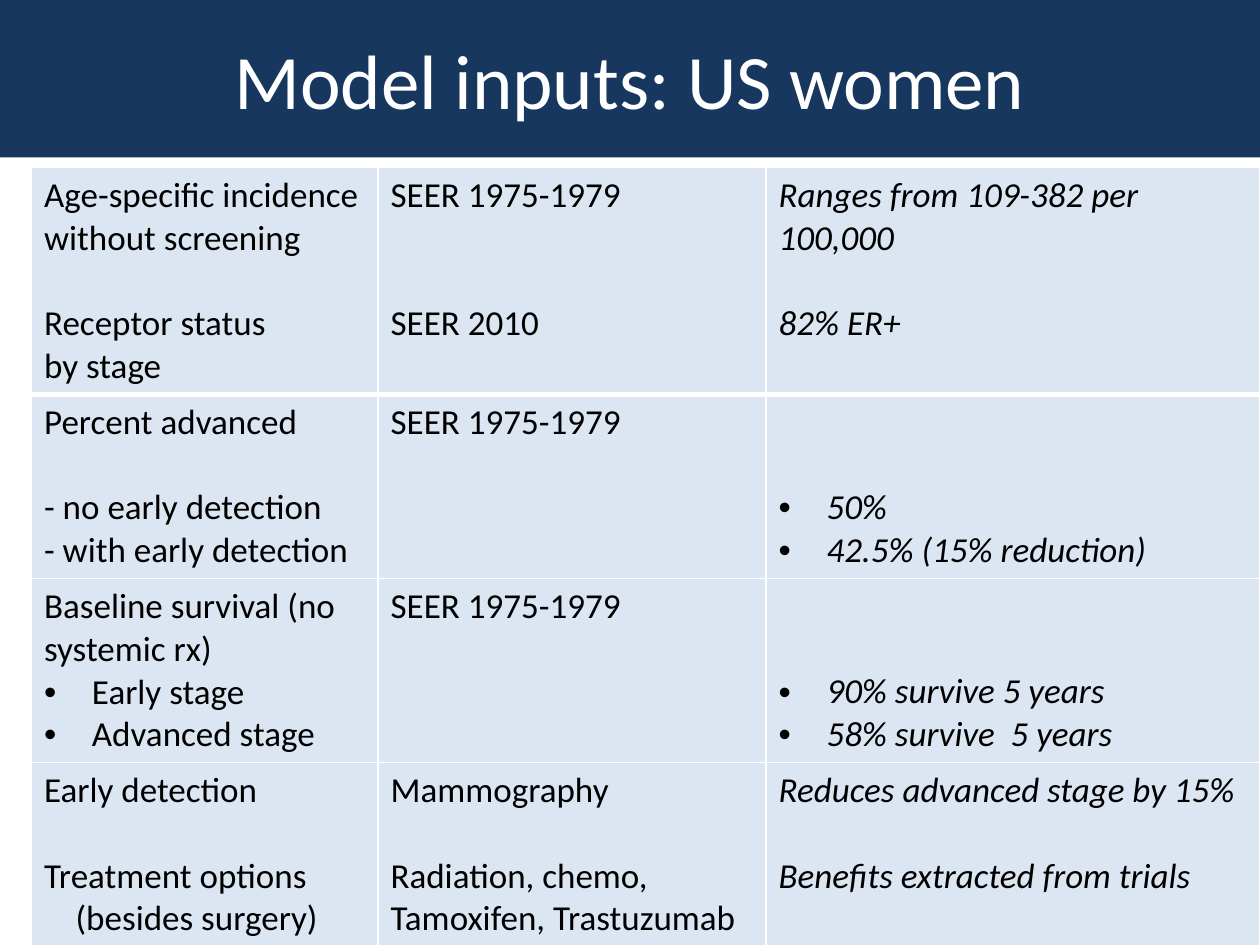
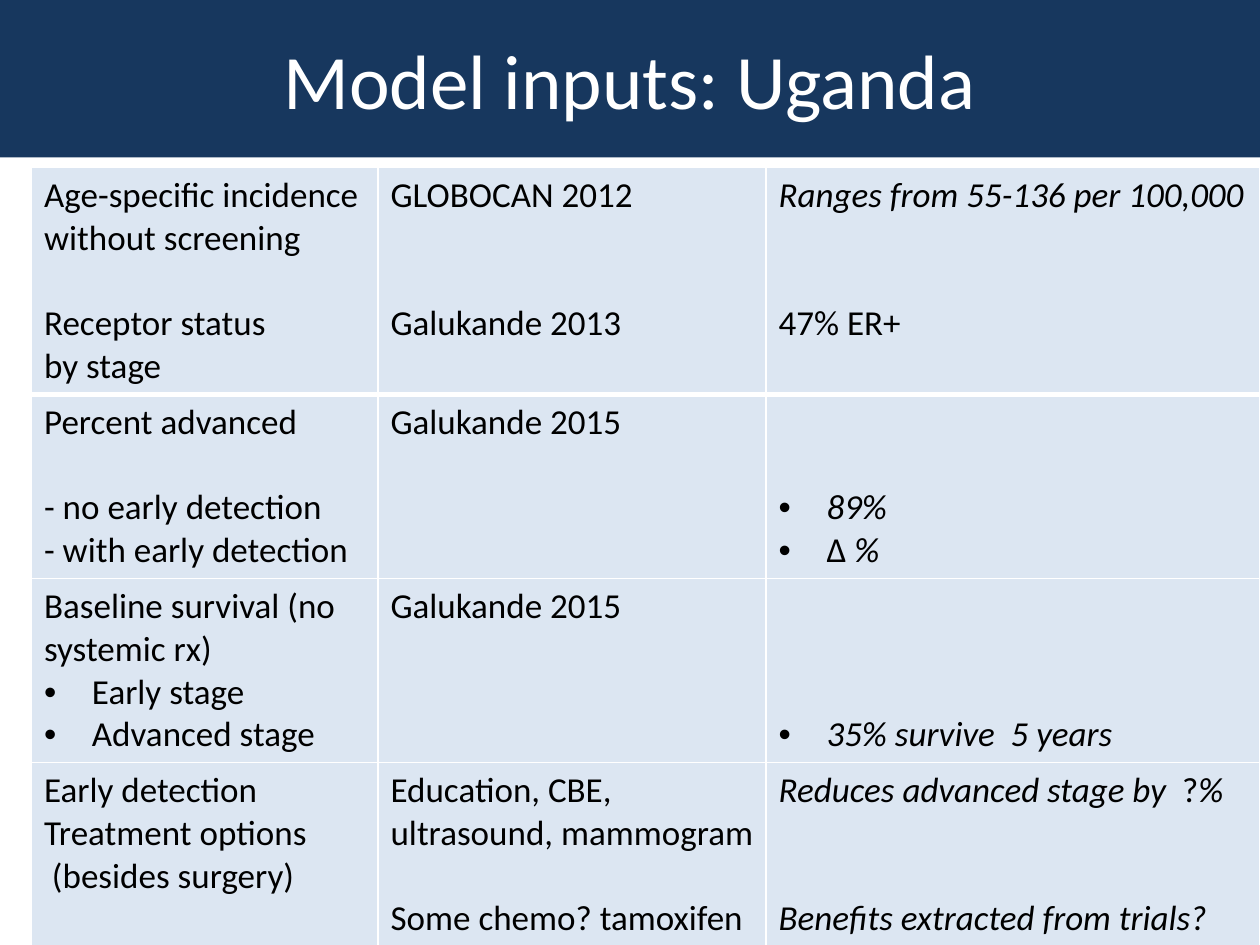
from dataclasses import dataclass

from lxml.etree import SubElement
from pptx import Presentation
from pptx.dml.color import RGBColor
from pptx.enum.shapes import MSO_SHAPE
from pptx.enum.text import MSO_ANCHOR, PP_ALIGN
from pptx.oxml.ns import qn
from pptx.slide import Slide
from pptx.table import _Cell
from pptx.text.text import _Paragraph
from pptx.util import Inches, Pt


@dataclass(frozen=True)
class Theme:
    font: str = "Calibri"
    title_size: int = 44
    body_size: int = 20
    band: str = "17375E"
    cell: str = "DCE6F2"
    white: str = "FFFFFF"
    black: str = "000000"
    thin_border: int = 1
    thick_border: int = 3


@dataclass(frozen=True)
class Span:
    text: str
    italic: bool = False


@dataclass(frozen=True)
class Line:
    """One paragraph; gap counts the text lines left free above it."""
    content: str | tuple[Span, ...]
    gap: int = 0
    bullet: bool = False
    italic: bool = False
    indent: float = 0


@dataclass(frozen=True)
class InputPage:
    title: str
    rows: tuple[tuple[tuple[Line, ...], ...], ...]


THEME = Theme()
SLIDE_WIDTH, SLIDE_HEIGHT = Inches(10), Inches(7.5)
BAND_HEIGHT = Inches(1.25)
TABLE_LEFT, TABLE_TOP = Inches(0.25), Inches(1.33)
COLUMN_WIDTHS = (Inches(2.75), Inches(3.08), Inches(3.92))
ROW_HEIGHTS = (Inches(1.8),) + (Inches(1.46),) * 3
LINE_HEIGHT = Inches(0.34)
CELL_MARGIN = Inches(0.05)
BULLET_INDENT = Inches(0.38)

# Row labels found on both pages
INCIDENCE = (Line("Age-specific incidence without screening"),
             Line("Receptor status", gap=1), Line("by stage"))
ADVANCED = (Line("Percent advanced"), Line("- no early detection", gap=1),
            Line("- with early detection"))
SURVIVAL = (Line("Baseline survival (no systemic rx)"),
            Line("Early stage", bullet=True), Line("Advanced stage", bullet=True))

PAGES = (
    InputPage("Model inputs: US women", (
        (INCIDENCE,
         (Line("SEER 1975-1979"), Line("SEER 2010", gap=2)),
         (Line("Ranges from 109-382 per 100,000", italic=True),
          Line("82% ER+", gap=1, italic=True))),
        (ADVANCED,
         (Line("SEER 1975-1979"),),
         (Line("50%", gap=2, bullet=True, italic=True),
          Line("42.5% (15% reduction)", bullet=True, italic=True))),
        (SURVIVAL,
         (Line("SEER 1975-1979"),),
         (Line("90% survive 5 years", gap=2, bullet=True, italic=True),
          Line("58% survive  5 years", bullet=True, italic=True))),
        ((Line("Early detection"), Line("Treatment options", gap=1),
          Line("(besides surgery)", indent=0.25)),
         (Line("Mammography"),
          Line("Radiation, chemo, Tamoxifen, Trastuzumab", gap=1)),
         (Line("Reduces advanced stage by 15%", italic=True),
          Line("Benefits extracted from trials", gap=1, italic=True))),
    )),
    InputPage("Model inputs: Uganda", (
        (INCIDENCE,
         (Line("GLOBOCAN 2012"), Line("Galukande 2013", gap=2)),
         (Line("Ranges from 55-136 per 100,000", italic=True),
          Line("47% ER+", gap=2))),
        (ADVANCED,
         (Line("Galukande 2015"),),
         (Line("89%", gap=2, bullet=True, italic=True),
          Line((Span("∆ "), Span("%", italic=True)), bullet=True))),
        (SURVIVAL,
         (Line("Galukande 2015"),),
         (Line("35% survive  5 years", gap=3, bullet=True, italic=True),)),
        ((Line("Early detection Treatment options"), Line(" (besides surgery)")),
         (Line("Education, CBE, ultrasound, mammogram"),
          Line("Some chemo? tamoxifen", gap=1)),
         (Line((Span("Reduces advanced stage by ", italic=True), Span(" ?"),
                Span("%", italic=True))),
          Line("Benefits extracted from trials?", gap=2, italic=True))),
    )),
)


def style_paragraph(para: _Paragraph, size: int, color: str) -> None:
    para.font.name = THEME.font
    para.font.size = Pt(size)
    para.font.color.rgb = RGBColor.from_string(color)


def add_title_band(page: Slide, title: str) -> None:
    band = page.shapes.add_shape(MSO_SHAPE.RECTANGLE, 0, 0, SLIDE_WIDTH, BAND_HEIGHT)
    band.shadow.inherit = False
    band.fill.solid()
    band.fill.fore_color.rgb = RGBColor.from_string(THEME.band)
    band.line.fill.background()
    band.text_frame.vertical_anchor = MSO_ANCHOR.MIDDLE
    para = band.text_frame.paragraphs[0]
    para.text = title
    para.alignment = PP_ALIGN.CENTER
    style_paragraph(para, THEME.title_size, THEME.white)


def set_indent(para: _Paragraph, left: int, bullet: bool) -> None:
    properties = para._p.get_or_add_pPr()
    properties.set("marL", str(left))
    properties.set("indent", str(-left if bullet else 0))
    if bullet:
        SubElement(properties, qn("a:buFont")).set("typeface", "Arial")
        SubElement(properties, qn("a:buChar")).set("char", "•")


def write_line(para: _Paragraph, line: Line) -> None:
    if line.bullet or line.indent:
        set_indent(para, BULLET_INDENT if line.bullet else Inches(line.indent), line.bullet)
    style_paragraph(para, THEME.body_size, THEME.black)
    if isinstance(line.content, str):
        para.text = line.content
        para.font.italic = line.italic
    else:
        for span in line.content:
            run = para.add_run()
            run.text = span.text
            run.font.italic = span.italic


def set_borders(cell: _Cell, top: int, bottom: int) -> None:
    properties = cell._tc.get_or_add_tcPr()
    widths = {"L": THEME.thin_border, "R": THEME.thin_border, "T": top, "B": bottom}
    for side, width in widths.items():
        border = SubElement(properties, qn(f"a:ln{side}"), w=str(Pt(width)))
        fill = SubElement(border, qn("a:solidFill"))
        SubElement(fill, qn("a:srgbClr"), val=THEME.white)


def fill_cell(cell: _Cell, lines: tuple[Line, ...]) -> None:
    cell.fill.solid()
    cell.fill.fore_color.rgb = RGBColor.from_string(THEME.cell)
    # A gap above the first line goes into the cell margin
    cell.margin_top = CELL_MARGIN + lines[0].gap * LINE_HEIGHT
    for index, line in enumerate(lines):
        frame = cell.text_frame
        para = frame.add_paragraph() if index else frame.paragraphs[0]
        if index and line.gap:
            para.space_before = line.gap * LINE_HEIGHT
        write_line(para, line)


def add_input_table(page: Slide, rows: tuple[tuple[tuple[Line, ...], ...], ...]) -> None:
    table = page.shapes.add_table(
        len(ROW_HEIGHTS), len(COLUMN_WIDTHS), TABLE_LEFT, TABLE_TOP,
        sum(COLUMN_WIDTHS), sum(ROW_HEIGHTS)).table
    table.first_row = False
    table.horz_banding = False
    for column, width in zip(table.columns, COLUMN_WIDTHS):
        column.width = width
    for row_index, (row, height) in enumerate(zip(rows, ROW_HEIGHTS)):
        table.rows[row_index].height = height
        # The thick rule runs between the first two rows
        top = THEME.thick_border if row_index == 1 else THEME.thin_border
        bottom = THEME.thick_border if row_index == 0 else THEME.thin_border
        for column_index, lines in enumerate(row):
            cell = table.cell(row_index, column_index)
            set_borders(cell, top, bottom)
            fill_cell(cell, lines)


def main() -> None:
    deck = Presentation()
    deck.slide_width, deck.slide_height = SLIDE_WIDTH, SLIDE_HEIGHT
    blank_layout = deck.slide_layouts[6]
    for content in PAGES:
        page = deck.slides.add_slide(blank_layout)
        add_title_band(page, content.title)
        add_input_table(page, content.rows)
    deck.save("out.pptx")


if __name__ == "__main__":
    main()
